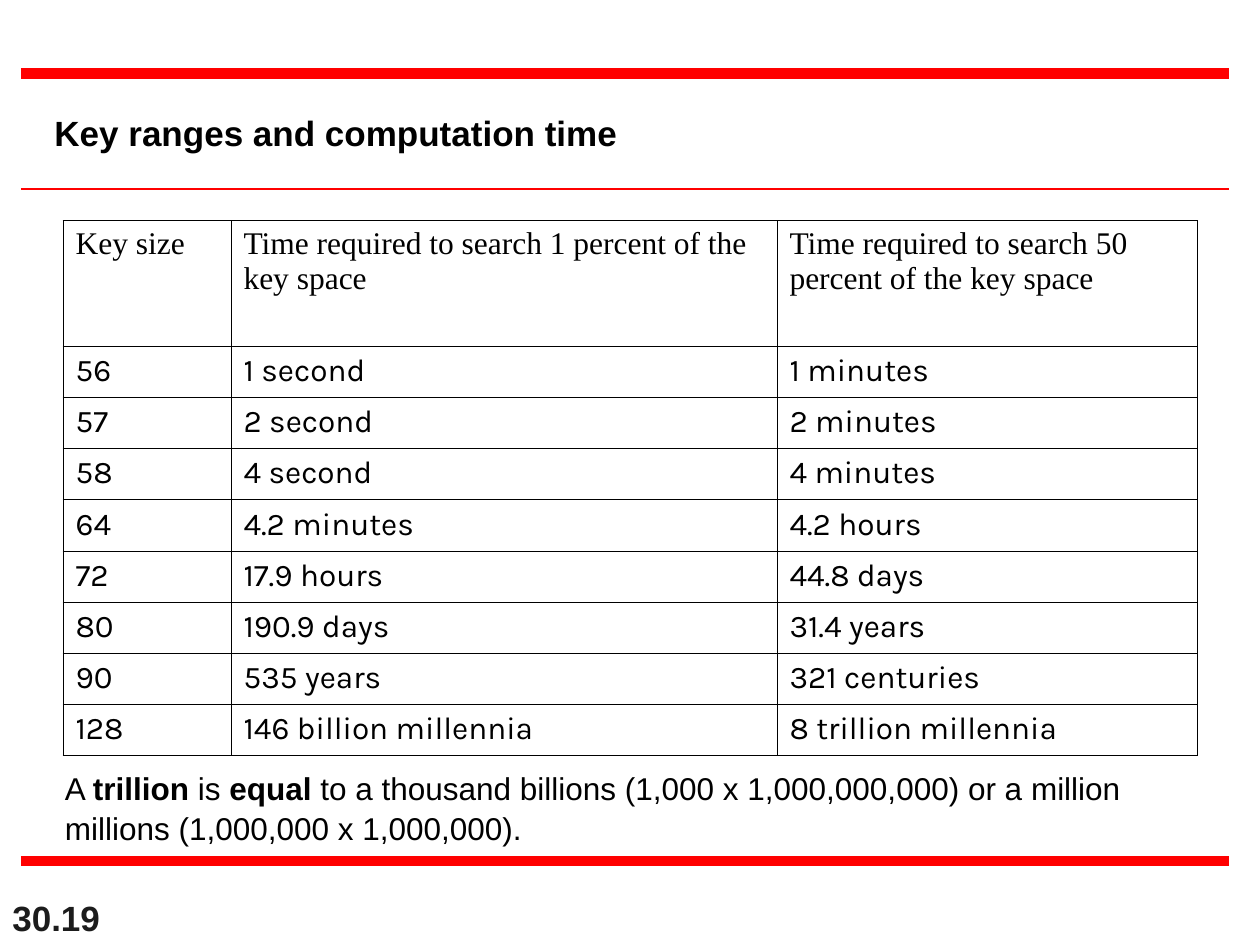
from lxml import etree
from pptx import Presentation
from pptx import util as u
from pptx.dml.color import RGBColor
from pptx.enum import shapes, text
from pptx.oxml import ns

Pt = u.Pt
RED = RGBColor(0xFF, 0x00, 0x00)
BLACK = RGBColor(0x00, 0x00, 0x00)
CHARCOAL = RGBColor(0x1C, 0x1C, 0x1C)


def style_font(font, name, size, color, bold=False):
    font.name = name
    font.size = Pt(size)
    font.color.rgb = color
    font.bold = bold


def add_text(slide, left, top, width, height, pieces, size, color):
    """Add a one-paragraph box; pieces are (wording, bold) pairs."""
    box = slide.shapes.add_textbox(Pt(left), Pt(top), Pt(width), Pt(height))
    box.text_frame.word_wrap = True
    paragraph = box.text_frame.paragraphs[0]
    for wording, bold in pieces:
        run = paragraph.add_run()
        run.text = wording
        style_font(run.font, "Arial", size, color, bold)
    return box.text_frame


presentation = Presentation()
presentation.slide_width, presentation.slide_height = Pt(720), Pt(540)
slide = presentation.slides.add_slide(presentation.slide_layouts[6])

# Slide number
number = add_text(slide, 0, 504, 150, 36, [("30.19", True)], 20, CHARCOAL)
number.vertical_anchor = text.MSO_ANCHOR.BOTTOM

# Red rules
for y, weight in ((42, 6), (108, 1.5), (492, 6)):
    rule = slide.shapes.add_connector(
        shapes.MSO_CONNECTOR.STRAIGHT, Pt(12), Pt(y), Pt(702), Pt(y))
    rule.line.color.rgb = RED
    rule.line.width = Pt(weight)
    etree.SubElement(rule._element.spPr, ns.qn("a:effectLst"))

# Title
add_text(slide, 24, 60, 450, 31.7,
         [("Key ranges and computation time", True)], 20, BLACK)

# Table of search times
rows = [
    ("Key size", "Time required to search 1 percent of the key space",
     "Time required to search 50 percent of the key space"),
    ("56", "1 second", "1 minutes"),
    ("57", "2 second", "2 minutes"),
    ("58", "4 second", "4 minutes"),
    ("64", "4.2 minutes", "4.2 hours"),
    ("72", "17.9 hours", "44.8 days"),
    ("80", "190.9 days", "31.4 years"),
    ("90", "535 years", "321 centuries"),
    ("128", "146 billion millennia", "8 trillion millennia"),
]
column_widths = (96, 312, 240)
header_height, row_height = 72, 29.2
table = slide.shapes.add_table(
    len(rows), len(column_widths), Pt(36), Pt(126), Pt(sum(column_widths)),
    Pt(header_height + row_height * (len(rows) - 1))).table
table.first_row = table.horz_banding = False
for column, width in zip(table.columns, column_widths):
    column.width = Pt(width)

for row_index, values in enumerate(rows):
    is_header = row_index == 0
    table.rows[row_index].height = Pt(header_height if is_header else row_height)
    for column_index, value in enumerate(values):
        cell = table.cell(row_index, column_index)
        cell.text_frame.text = value
        run = cell.text_frame.paragraphs[0].runs[0]
        style_font(run.font, "Times New Roman" if is_header else "Karla", 18, BLACK)
        # Borders come before the fill in the cell properties
        properties = cell._tc.get_or_add_tcPr()
        for side in ("a:lnL", "a:lnR", "a:lnT", "a:lnB"):
            border = etree.SubElement(properties, ns.qn(side), w=str(Pt(0.45)))
            fill = etree.SubElement(border, ns.qn("a:solidFill"))
            etree.SubElement(fill, ns.qn("a:srgbClr"), val=str(BLACK))
        cell.fill.background()

# Note under the table
note_pieces = [
    ("A ", False), ("trillion", True), (" is ", False), ("equal", True),
    (" to a thousand billions (1,000 x 1,000,000,000) or a million millions "
     "(1,000,000 x 1,000,000).", False),
]
note = add_text(slide, 30, 435, 672, 50.4, note_pieces, 18, BLACK)
note.paragraphs[0].line_spacing = 1.05

presentation.save("out.pptx")
